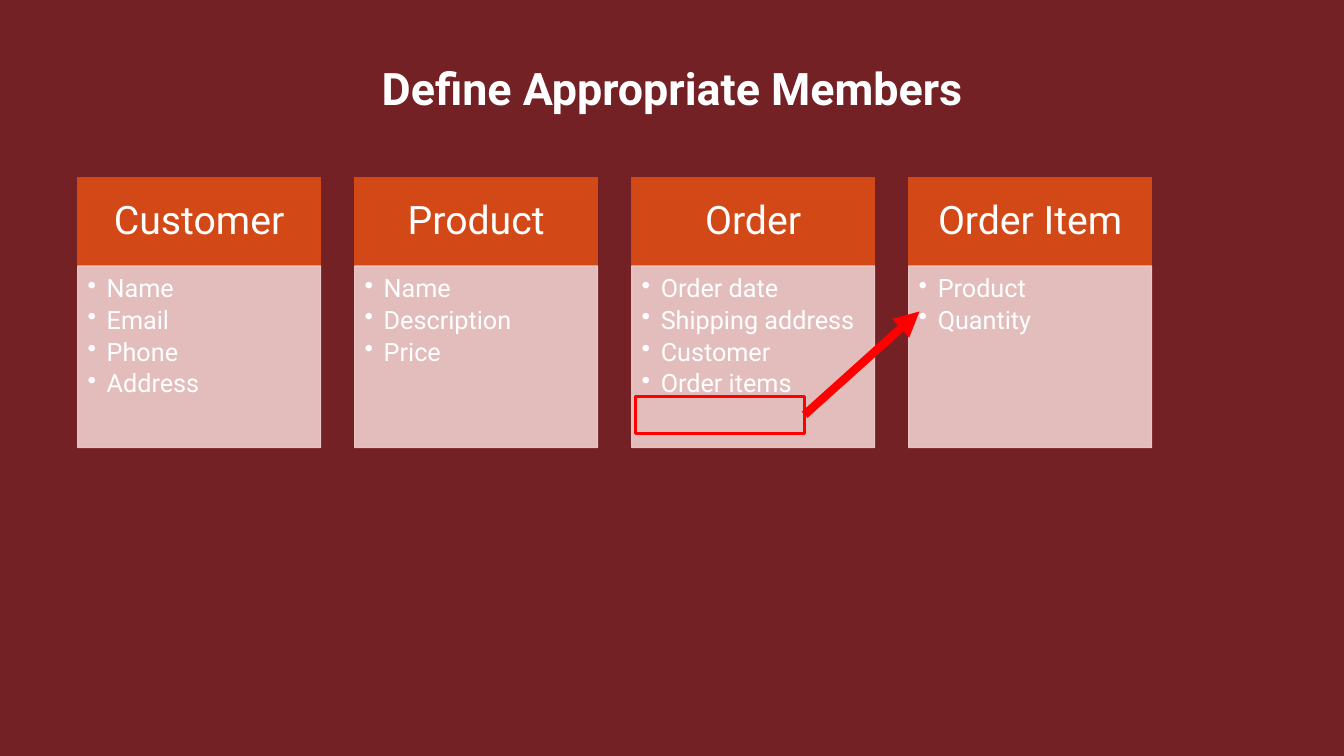
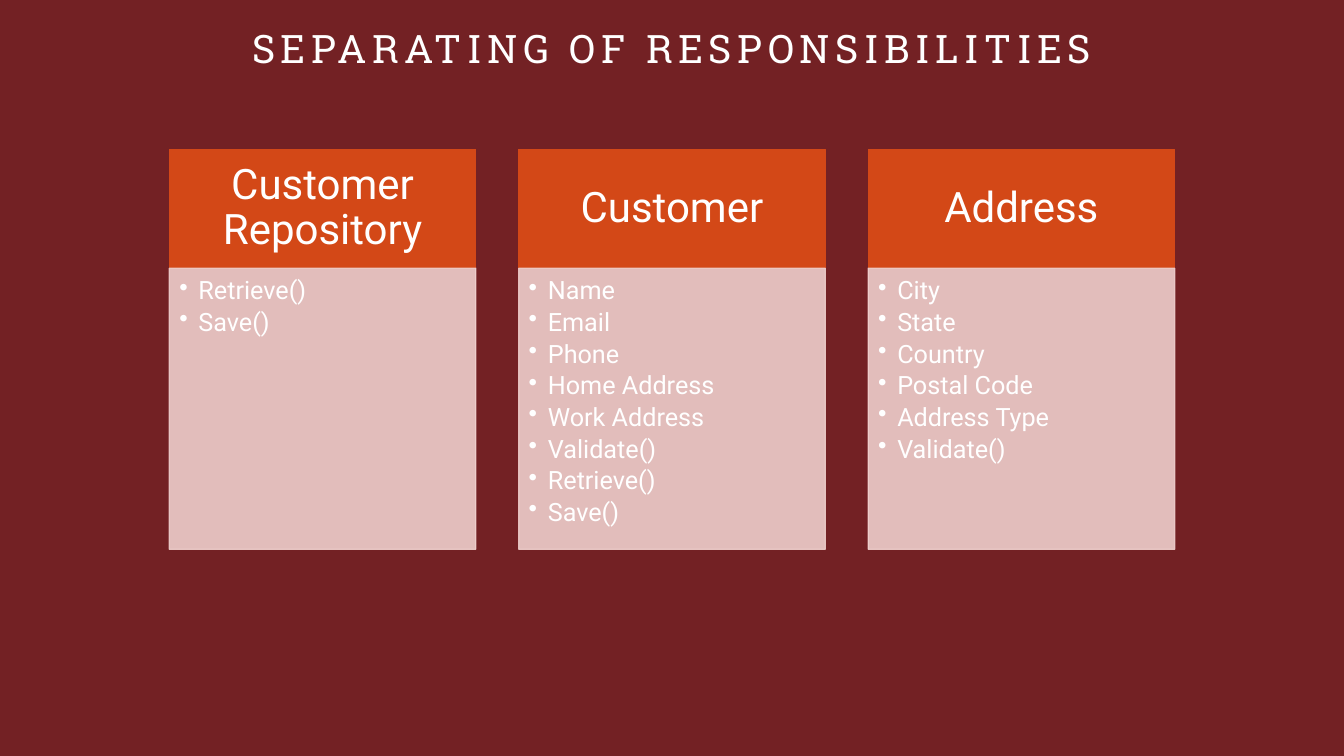
from dataclasses import dataclass
from typing import Any

import lxml.etree
import pptx
import pptx.dml.color
import pptx.enum.shapes
import pptx.enum.text
import pptx.oxml.ns
import pptx.presentation
import pptx.shapes.autoshape
import pptx.slide
import pptx.text.text
import pptx.util

Inches = pptx.util.Inches
Pt = pptx.util.Pt
RGBColor = pptx.dml.color.RGBColor
Align = pptx.enum.text.PP_ALIGN
Anchor = pptx.enum.text.MSO_ANCHOR
qn = pptx.oxml.ns.qn

BACKGROUND = RGBColor(0x73, 0x21, 0x24)
HEADER = RGBColor(0xD3, 0x48, 0x17)
BODY = RGBColor(0xEF, 0xCF, 0xCC)
HIGHLIGHT = RGBColor(0xFF, 0x00, 0x00)
WHITE = RGBColor(0xFF, 0xFF, 0xFF)

SLIDE_WIDTH, SLIDE_HEIGHT = 13.33, 7.5
COLUMN_PITCH = 1.14  # distance between card left edges, in card widths
BODY_OPACITY = 90
BULLET_INDENT = 0.19
CARD_LINE = 0.85
RIGHT_SIDE = 3

BODY_FORMAT = {"vertical_anchor": Anchor.TOP, "margin_left": Inches(0.1), "margin_top": Inches(0.1),
               "margin_right": Inches(0.14), "margin_bottom": Inches(0.16)}
HEADER_FORMAT = {"vertical_anchor": Anchor.MIDDLE, "margin_left": Inches(0.22), "margin_top": Inches(0.12),
                 "margin_right": Inches(0.22), "margin_bottom": Inches(0.12)}
HEADER_PARAGRAPH = {"alignment": Align.CENTER, "line_spacing": 0.9}
BODY_PARAGRAPH = {"alignment": Align.LEFT, "line_spacing": 0.9, "space_after": Pt(3.15)}


@dataclass(frozen=True)
class Box:
    left: float
    top: float
    width: float
    height: float

    def lengths(self) -> tuple[int, ...]:
        return tuple(Inches(value) for value in (self.left, self.top, self.width, self.height))


@dataclass(frozen=True)
class Title:
    text: str
    box: Box
    size: float
    font: str = "Roboto"
    bold: bool = False
    letter_spacing: float = 0


@dataclass(frozen=True)
class Card:
    heading: str
    members: tuple[str, ...]


@dataclass(frozen=True)
class CardRow:
    left: float
    top: float
    width: float
    header_height: float
    body_height: float
    heading_size: float
    cards: tuple[Card, ...]


MEMBERS_TITLE = Title("Define Appropriate Members", Box(3.14, 0.55, 7.06, 0.64), 32, bold=True)
MEMBERS_ROW = CardRow(0.77, 1.76, 2.41, 0.88, 1.8, 28, (
    Card("Customer", ("Name", "Email", "Phone", "Address")),
    Card("Product", ("Name", "Description", "Price")),
    Card("Order", ("Order date", "Shipping address", "Customer", "Order items")),
    Card("Order Item", ("Product", "Quantity")),
))
ORDER_ITEMS_MARKER = Box(6.3, 3.93, 1.68, 0.37)
ARROW_TIP = (9.12, 3.09)

RESPONSIBILITIES_TITLE = Title("SEPARATING OF RESPONSIBILITIES", Box(1.18, 0.19, 10.97, 0.72), 28,
                               font="Roboto Slab", letter_spacing=4)
RESPONSIBILITIES_ROW = CardRow(1.68, 1.48, 3.04, 1.18, 2.79, 30, (
    Card("Customer Repository", ("Retrieve()", "Save()")),
    Card("Customer", ("Name", "Email", "Phone", "Home Address", "Work Address",
                      "Validate()", "Retrieve()", "Save()")),
    Card("Address", ("City", "State", "Country", "Postal Code", "Address Type", "Validate()")),
))


def apply_format(target: Any, values: dict[str, Any]) -> None:
    for name, value in values.items():
        setattr(target, name, value)


def add_run(paragraph: pptx.text.text._Paragraph, text: str, size: float,
            font: str = "Roboto", bold: bool = False) -> pptx.text.text._Run:
    run = paragraph.add_run()
    run.text = text
    apply_format(run.font, {"name": font, "size": Pt(size), "bold": bold})
    run.font.color.rgb = WHITE
    return run


def add_title(slide: pptx.slide.Slide, title: Title) -> None:
    frame = slide.shapes.add_textbox(*title.box.lengths()).text_frame
    frame.word_wrap = True
    paragraph = frame.paragraphs[0]
    paragraph.alignment = Align.CENTER
    run = add_run(paragraph, title.text, title.size, title.font, title.bold)
    if title.letter_spacing:
        run.font._element.set("spc", str(round(title.letter_spacing * 100)))


def add_rectangle(slide: pptx.slide.Slide, box: Box, line_color: RGBColor, line_width: float,
                  fill_color: RGBColor | None = None) -> pptx.shapes.autoshape.Shape:
    shape = slide.shapes.add_shape(pptx.enum.shapes.MSO_SHAPE.RECTANGLE, *box.lengths())
    shape.shadow.inherit = False
    if fill_color is None:
        shape.fill.background()
    else:
        shape.fill.solid()
        shape.fill.fore_color.rgb = fill_color
    shape.line.color.rgb = line_color
    shape.line.width = Pt(line_width)
    return shape


def set_opacity(shape: pptx.shapes.autoshape.Shape, percent: int) -> None:
    """Make both the fill and the outline of the shape translucent."""
    for color in shape._element.spPr.iter(qn("a:srgbClr")):
        lxml.etree.SubElement(color, qn("a:alpha")).set("val", str(percent * 1000))


def add_bullet(paragraph: pptx.text.text._Paragraph) -> None:
    properties = paragraph._p.get_or_add_pPr()
    indent = Inches(BULLET_INDENT)
    properties.set("marL", str(indent))
    properties.set("indent", str(-indent))
    lxml.etree.SubElement(properties, qn("a:buChar")).set("char", "•")


def add_card(slide: pptx.slide.Slide, card: Card, row: CardRow, column: int) -> None:
    left = row.left + column * COLUMN_PITCH * row.width
    header = add_rectangle(slide, Box(left, row.top, row.width, row.header_height),
                           HEADER, CARD_LINE, HEADER)
    apply_format(header.text_frame, HEADER_FORMAT)
    heading = header.text_frame.paragraphs[0]
    apply_format(heading, HEADER_PARAGRAPH)
    add_run(heading, card.heading, row.heading_size)

    body = add_rectangle(slide, Box(left, row.top + row.header_height, row.width, row.body_height),
                         BODY, CARD_LINE, BODY)
    set_opacity(body, BODY_OPACITY)
    frame = body.text_frame
    apply_format(frame, BODY_FORMAT)
    for index, member in enumerate(card.members):
        paragraph = frame.add_paragraph() if index else frame.paragraphs[0]
        add_bullet(paragraph)
        apply_format(paragraph, BODY_PARAGRAPH)
        add_run(paragraph, member, 18)


def add_arrow(slide: pptx.slide.Slide, source: pptx.shapes.autoshape.Shape,
              tip: tuple[float, float]) -> None:
    """Draw a thick arrow from the right side of the source shape to the tip."""
    end_x, end_y = (Inches(value) for value in tip)
    arrow = slide.shapes.add_connector(pptx.enum.shapes.MSO_CONNECTOR.STRAIGHT,
                                       source.left + source.width, source.top + source.height // 2,
                                       end_x, end_y)
    arrow.begin_connect(source, RIGHT_SIDE)
    arrow.line.color.rgb = HIGHLIGHT
    arrow.line.width = Pt(6)
    lxml.etree.SubElement(arrow.line._get_or_add_ln(), qn("a:tailEnd")).set("type", "triangle")
    lxml.etree.SubElement(arrow._element.spPr, qn("a:effectLst"))


def add_card_slide(presentation: pptx.presentation.Presentation, title: Title,
                   row: CardRow) -> pptx.slide.Slide:
    slide = presentation.slides.add_slide(presentation.slide_layouts[6])
    for column, card in enumerate(row.cards):
        add_card(slide, card, row, column)
    add_title(slide, title)
    return slide


def main() -> None:
    presentation = pptx.Presentation()
    presentation.slide_width = Inches(SLIDE_WIDTH)
    presentation.slide_height = Inches(SLIDE_HEIGHT)
    background = presentation.slide_master.background.fill
    background.solid()
    background.fore_color.rgb = BACKGROUND

    members_slide = add_card_slide(presentation, MEMBERS_TITLE, MEMBERS_ROW)
    marker = add_rectangle(members_slide, ORDER_ITEMS_MARKER, HIGHLIGHT, 2.25)
    add_arrow(members_slide, marker, ARROW_TIP)

    add_card_slide(presentation, RESPONSIBILITIES_TITLE, RESPONSIBILITIES_ROW)
    presentation.save("out.pptx")


if __name__ == "__main__":
    main()
